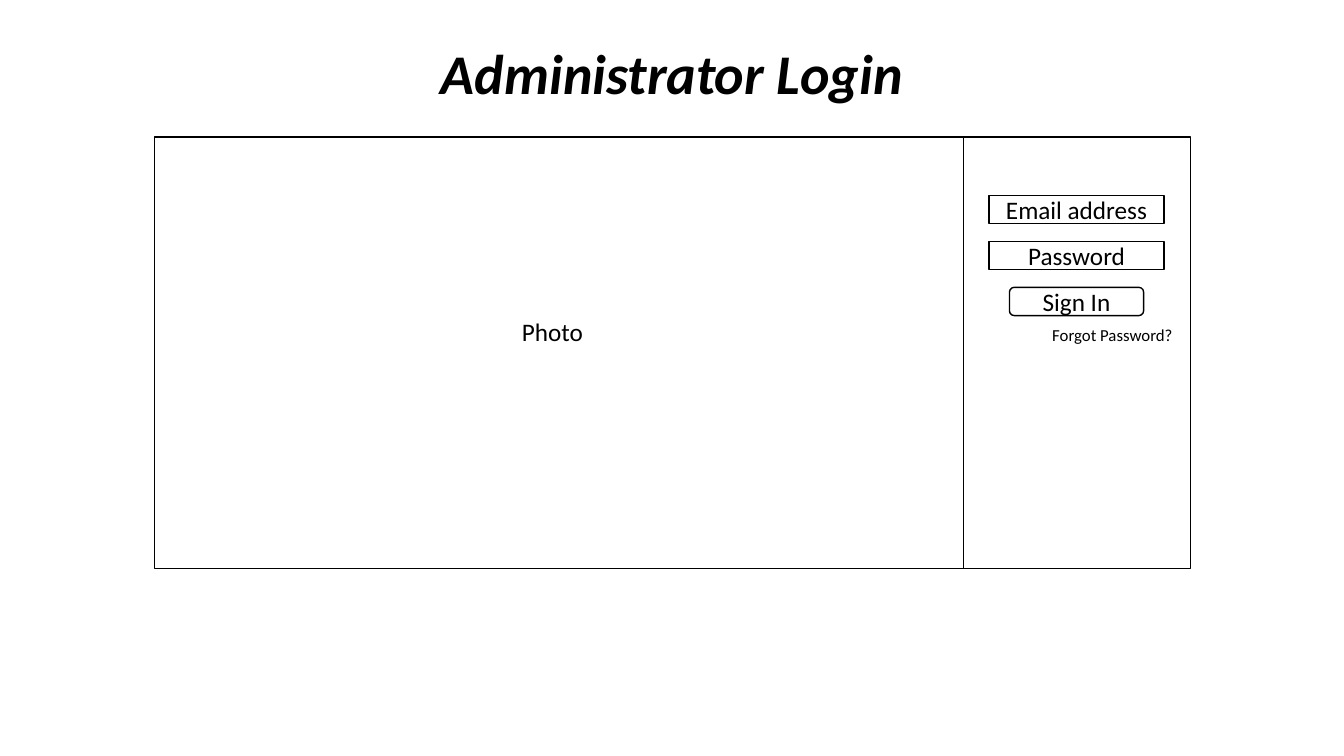
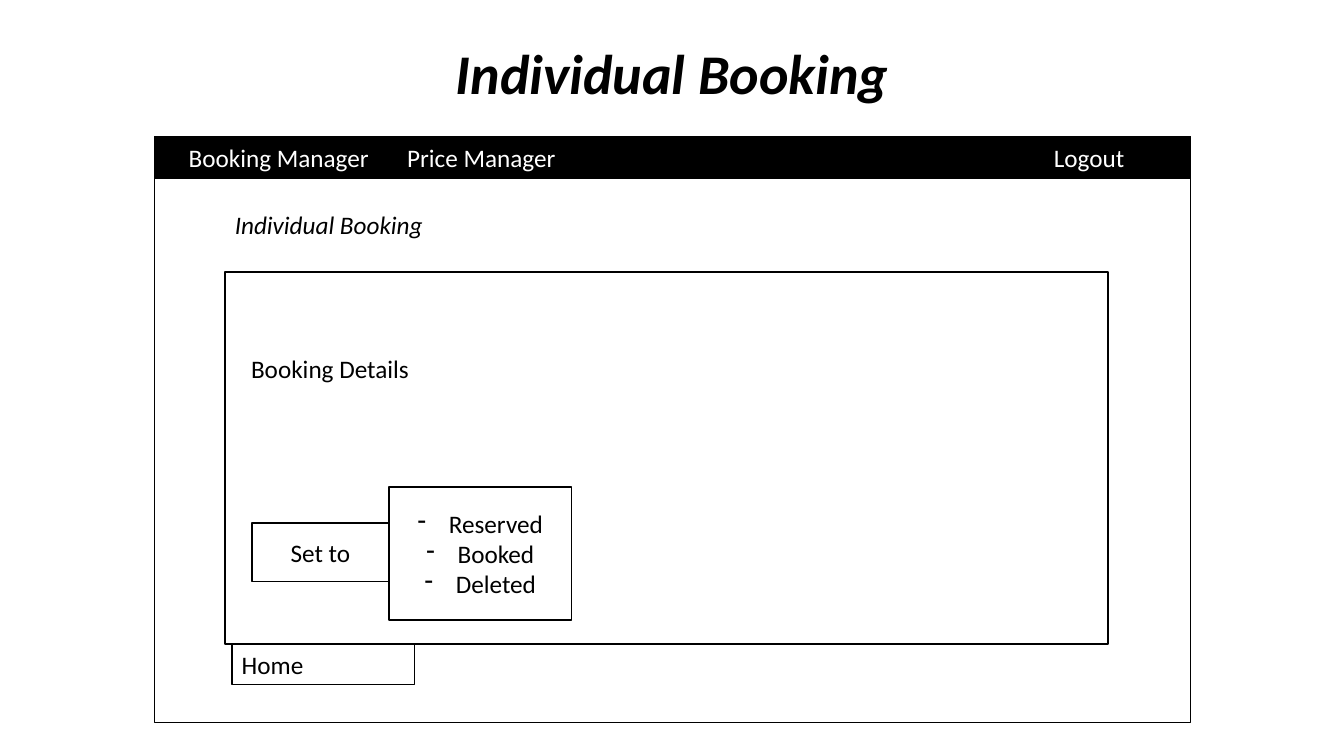
from dataclasses import dataclass

from lxml import etree
from pptx import Presentation
from pptx import util as u
from pptx.dml.color import RGBColor
from pptx.enum import shapes, text
from pptx.oxml.ns import qn

RECT = shapes.MSO_SHAPE.RECTANGLE
ROUND = shapes.MSO_SHAPE.ROUNDED_RECTANGLE
LEFT, MID = text.PP_ALIGN.LEFT, text.PP_ALIGN.CENTER
TOP, HALF = text.MSO_ANCHOR.TOP, text.MSO_ANCHOR.MIDDLE


@dataclass(frozen=True)
class Theme:
    """Colours, font and type sizes of the deck."""
    ink: RGBColor = RGBColor(0, 0, 0)
    paper: RGBColor = RGBColor(255, 255, 255)
    font: str = "Calibri"
    head: int = 40
    body: int = 18
    small: int = 12


THEME = Theme()


def write(shape, words, size=THEME.body, color=THEME.ink, align=MID, anchor=HALF,
          bold=False, italic=False, bullet=None, inset=(0.1, 0.05)):
    """Fill a shape with one paragraph per line of words."""
    frame = shape.text_frame
    frame.text = words
    frame.word_wrap = True
    frame.auto_size = text.MSO_AUTO_SIZE.NONE
    frame.vertical_anchor = anchor
    frame.margin_left, frame.margin_top = map(u.Inches, inset)
    frame.margin_right, frame.margin_bottom = u.Inches(0.1), u.Inches(0.05)
    for para in frame.paragraphs:
        para.alignment = align
        for run in para.runs:
            font = run.font
            font.name, font.size = THEME.font, u.Pt(size)
            font.bold, font.italic = bold, italic
            font.color.rgb = color
        if bullet:
            props = para._p.get_or_add_pPr()
            props.set("marL", str(u.Inches(0.31)))
            props.set("indent", str(-u.Inches(0.31)))
            etree.SubElement(props, qn("a:buChar")).set("char", bullet)


class Deck:
    """Holds the style and the current slide; lengths are percent of the slide."""
    # Left edge, top edge and width of the page frame on every slide.
    x, y, wide = 11.48, 18.13, 77.1

    def __init__(self):
        """Start an empty wide deck."""
        self.file = Presentation()
        self.file.slide_width = u.Inches(13.33)
        self.file.slide_height = u.Inches(7.5)

    def scale(self, *spots):
        """Turn alternating x and y shares into slide lengths."""
        sides = self.file.slide_width, self.file.slide_height
        return [int(spot * sides[i % 2] / 100) for i, spot in enumerate(spots)]

    def page(self, title, tall):
        """Add a slide with its title and page frame."""
        self.slide = self.file.slides.add_slide(self.file.slide_layouts[5])
        head = self.slide.shapes.title
        head.left, head.top, head.width, head.height = self.scale(0, 4.4, 100, 10.27)
        write(head, title, size=THEME.head, bold=True, italic=True)
        self.box(self.x, self.y, self.wide, tall)

    def box(self, x, y, w, h, words="", kind=RECT, fill=THEME.paper, **style):
        """Add an outlined shape, with text if given."""
        shape = self.slide.shapes.add_shape(kind, *self.scale(x, y, w, h))
        shape.shadow.inherit = False
        shape.fill.solid()
        shape.fill.fore_color.rgb = fill
        shape.line.color.rgb = THEME.ink
        shape.line.width = u.Pt(1)
        if words:
            write(shape, words, **style)

    def label(self, x, y, w, h, words, **style):
        """Add free text."""
        shape = self.slide.shapes.add_textbox(*self.scale(x, y, w, h))
        write(shape, words, **{"align": LEFT, "anchor": TOP, **style})

    def rule(self, *ends):
        """Add a thin line between two points."""
        line = self.slide.shapes.add_connector(
            shapes.MSO_CONNECTOR.STRAIGHT, *self.scale(*ends))
        line.line.color.rgb = THEME.ink
        line.line.width = u.Pt(0.5)
        etree.SubElement(line._element.spPr, qn("a:effectLst"))


def login(deck):
    """Build the login page."""
    tall, split = 57.07, 71.7
    deck.page("Administrator Login", tall)
    deck.rule(split, deck.y, split, deck.y + tall)
    deck.label(38.1, 41.2, 12.9, 5.33, "Photo")
    center = 80.1
    fields = [("Email address", 13.05, RECT), ("Password", 13.05, RECT),
              ("Sign In", 9.98, ROUND)]
    for row, (words, w, kind) in enumerate(fields):
        deck.box(center - w / 2, 25.87 + row * 6.07, w, 3.73, words, kind)
    deck.label(77.55, 42.27, 10.95, 4, "Forgot Password?", size=THEME.small)


def booking(deck):
    """Build the page of a single booking."""
    bar, line, tab = 5.47, 5.33, 15.08
    left, wide, top, tall = 16.73, 65.7, 36, 49.2
    deck.page("Individual Booking", 77.47)
    deck.box(deck.x, deck.y, deck.wide, bar, fill=THEME.ink)
    first = 13.2
    tabs = [("Booking Manager", first), ("Price Manager", first + tab),
            ("Logout", deck.x + deck.wide - tab)]
    for words, x in tabs:
        deck.label(x, deck.y, tab, bar, words, color=THEME.paper, align=MID)
    deck.box(left, top, wide, tall, "Booking Details", align=LEFT, anchor=TOP,
             inset=(0.26, 0.81))
    deck.label(left, 27.07, wide, line, "Individual Booking", italic=True)
    menu, drop = 28.95, 13.58
    deck.box(18.75, 69.2, 10.2, 7.73, "Set to")
    deck.box(menu, 64.4, drop, 17.6, "Reserved\nBooked\nDeleted", bullet="-")
    deck.box(17.25, top + tall, drop, line, "Home", align=LEFT, anchor=TOP)


deck = Deck()
login(deck)
booking(deck)
deck.file.save("out.pptx")
